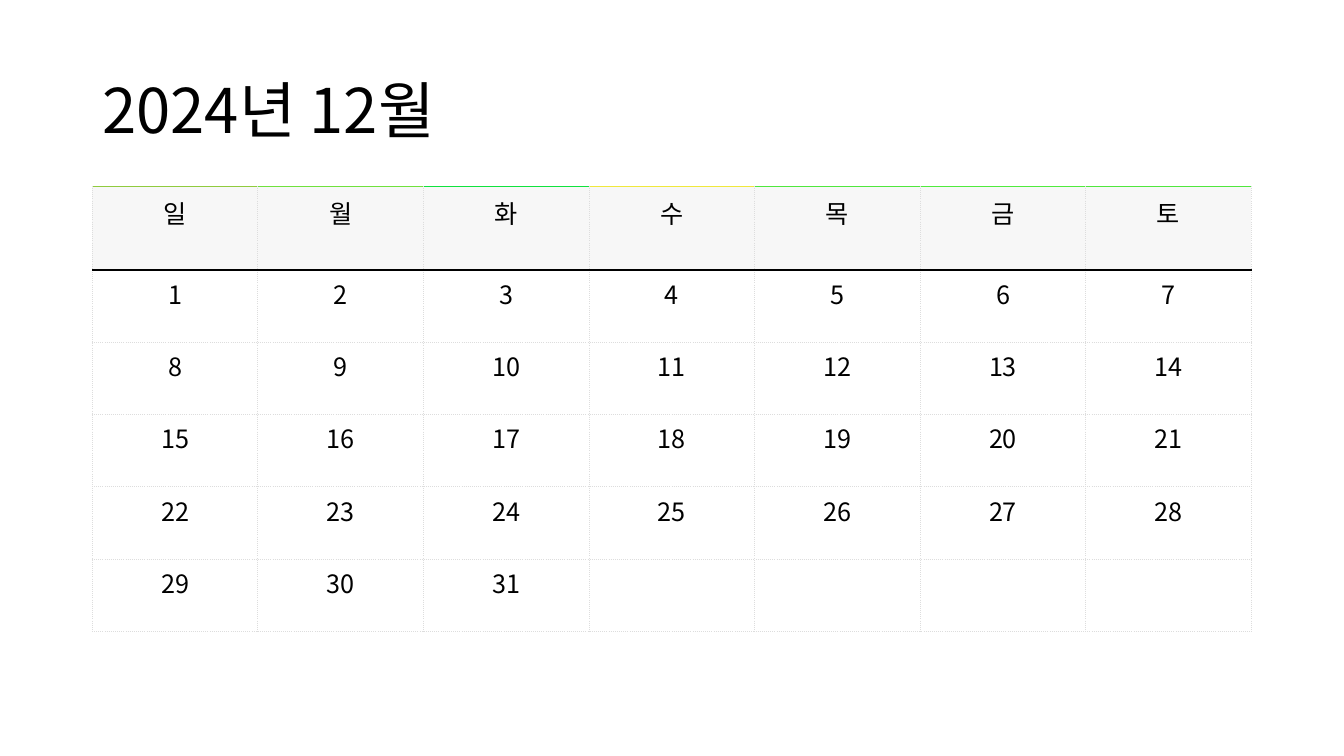
from dataclasses import dataclass

from lxml.etree import SubElement
from pptx import Presentation
from pptx.dml.color import RGBColor
from pptx.enum.text import MSO_ANCHOR, PP_ALIGN
from pptx.oxml.ns import qn
from pptx.util import Pt


@dataclass(frozen=True)
class Theme:
    """Colours, font and type sizes of the calendar."""
    font: str = "Noto Sans CJK KR"
    ink: str = "000000"
    paper: str = "FFFFFF"
    header: str = "F7F7F7"
    grid: str = "DDDDDD"
    accents: tuple = ("90CB3E", "70E13D", "10E23D", "F0E83D", "50E73D", "50EB3D", "50E73D")
    title_size: float = 44
    cell_size: float = 18


def apply_format(target, values):
    """Set each attribute named in a dict of format values."""
    for name, value in values.items():
        setattr(target, name, value)


class CalendarPage:
    """Draws calendar elements on one page in one theme."""

    def __init__(self, page, theme):
        """Keep the current page and its theme."""
        self.page = page
        self.theme = theme

    def add_span(self, para, text, size):
        """Add one span of themed text to a paragraph."""
        span = para.add_run()
        span.text = text
        apply_format(span.font, {"name": self.theme.font, "size": Pt(size), "bold": False})
        span.font.color.rgb = RGBColor.from_string(self.theme.ink)
        SubElement(span.font._element, qn("a:ea"), typeface=self.theme.font)

    def title(self, text, left, top, width, height):
        """Add the month heading."""
        box = self.page.shapes.add_textbox(Pt(left), Pt(top), Pt(width), Pt(height))
        apply_format(box.text_frame, {"word_wrap": True, "vertical_anchor": MSO_ANCHOR.MIDDLE})
        para = box.text_frame.paragraphs[0]
        para.line_spacing = 0.9
        self.add_span(para, text, self.theme.title_size)

    def border(self, cell, side, color, width=0.75, dash="solid"):
        """Draw one side of a cell."""
        line = SubElement(cell._tc.get_or_add_tcPr(), qn(f"a:ln{side}"), w=str(Pt(width)))
        fill = SubElement(line, qn("a:solidFill"))
        SubElement(fill, qn("a:srgbClr"), val=color)
        SubElement(line, qn("a:prstDash"), val=dash)

    def cell(self, cell, text, row, column):
        """Format and fill one calendar cell."""
        theme = self.theme
        dotted = (theme.grid, 0.75, "dot")
        rule = (theme.ink, 1.5)
        top = {0: (theme.accents[column],), 1: rule}.get(row, dotted)
        bottom = rule if row == 0 else dotted
        for side, style in {"L": dotted, "R": dotted, "T": top, "B": bottom}.items():
            self.border(cell, side, *style)
        cell.fill.solid()
        cell.fill.fore_color.rgb = RGBColor.from_string(theme.paper if row else theme.header)
        inset = Pt(3.6 if row else 6)
        sides = ("left", "right", "top", "bottom")
        apply_format(cell, {f"margin_{side}": inset for side in sides})
        para = cell.text_frame.paragraphs[0]
        para.alignment = PP_ALIGN.CENTER
        if text:
            self.add_span(para, text, theme.cell_size)

    def table(self, rows, left, top, width, heights):
        """Add the grid of weekdays and dates."""
        count = len(rows[0])
        frame = self.page.shapes.add_table(
            len(rows), count, Pt(left), Pt(top), Pt(width), Pt(sum(heights)))
        grid = frame.table
        apply_format(grid, {"first_row": False, "horz_banding": False})
        for column in grid.columns:
            column.width = Pt(width / count)
        for row, (texts, height) in enumerate(zip(rows, heights)):
            grid.rows[row].height = Pt(height)
            for column, text in enumerate(texts):
                self.cell(grid.cell(row, column), text, row, column)


def main():
    """Build and save the calendar deck."""
    deck = Presentation()
    apply_format(deck, {"slide_width": Pt(960), "slide_height": Pt(540)})
    calendar = CalendarPage(deck.slides.add_slide(deck.slide_layouts[6]), Theme())
    calendar.title("2024년 12월", 66, 28.75, 828, 104.4)
    weekdays = list("일월화수목금토")
    weeks = [[str(day) if day <= 31 else "" for day in range(first, first + 7)]
             for first in range(1, 32, 7)]
    calendar.table([weekdays] + weeks, 66, 133.1, 828, [59.7] + [51.7] * len(weeks))
    deck.save("out.pptx")


if __name__ == "__main__":
    main()
